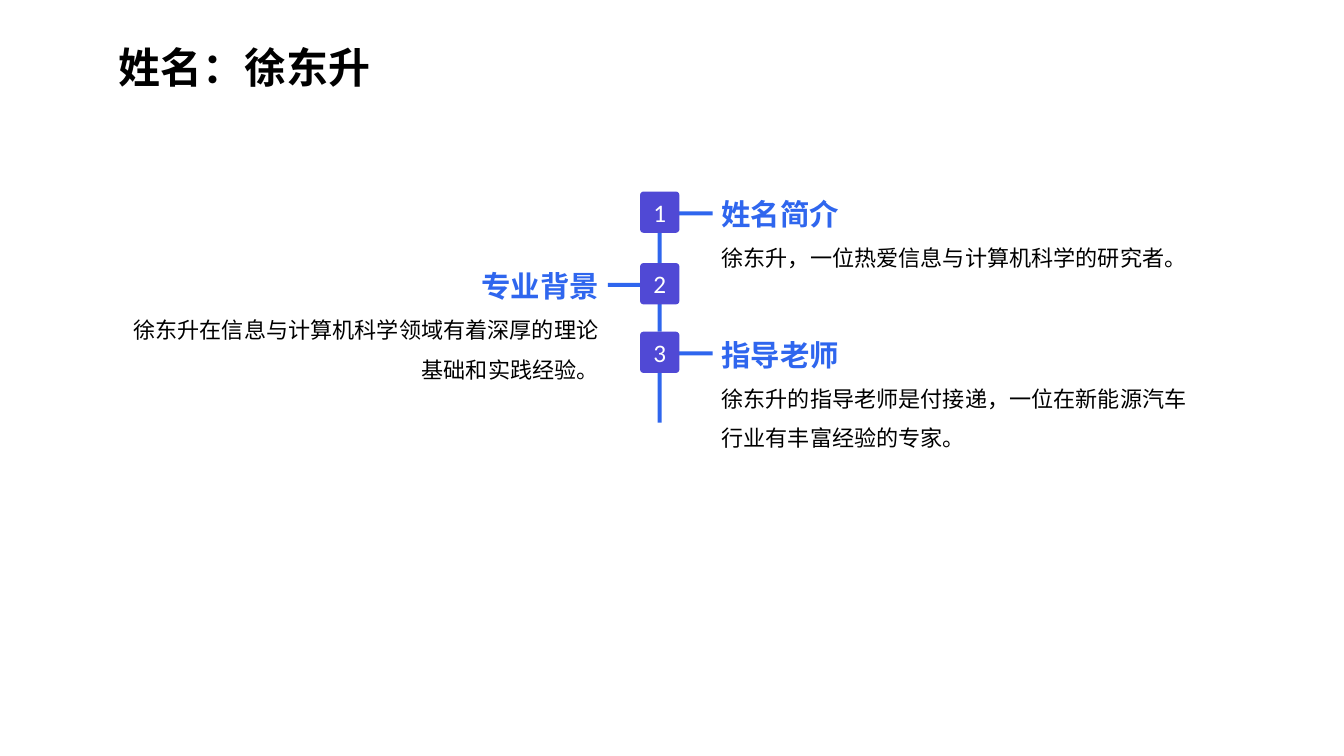
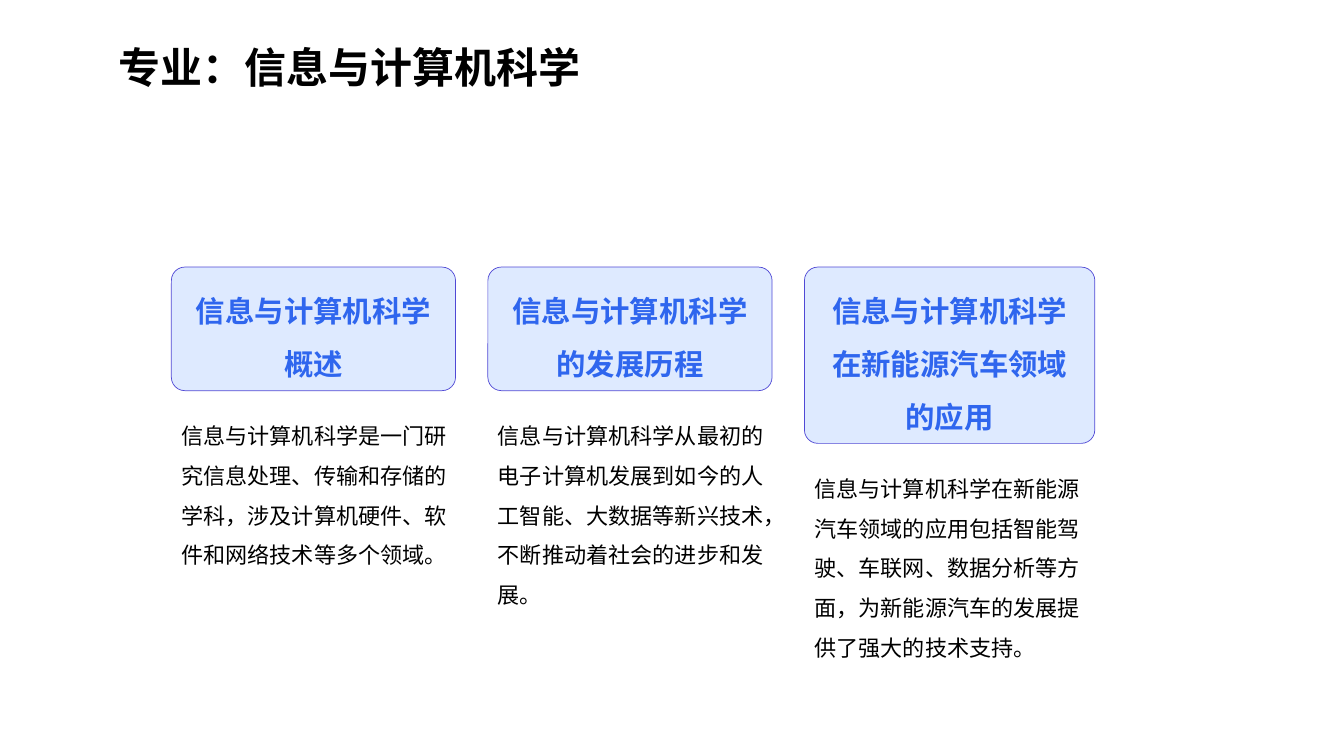
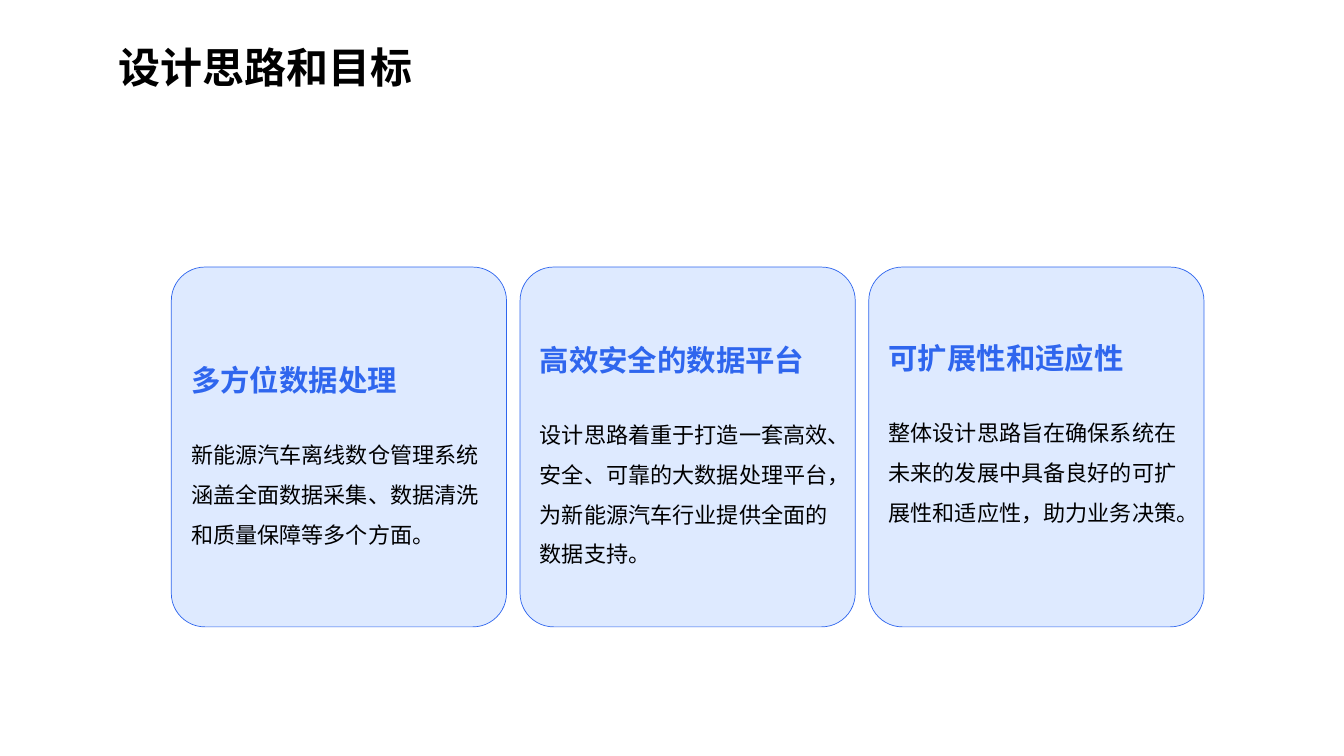
from lxml.etree import SubElement
from pptx import Presentation
from pptx.dml.color import RGBColor
from pptx.enum.shapes import MSO_SHAPE
from pptx.enum.text import MSO_ANCHOR, PP_ALIGN
from pptx.oxml.ns import qn
from pptx.util import Pt

COLORS = {"ink": "000000", "blue": "2F66EE", "violet": "5049D5",
          "pale": "DEEAFF", "white": "FFFFFF"}
CJK, LATIN = "Noto Sans CJK SC", "Calibri"
LINE = 1.195  # single line height, in ems
TITLE, HEADING, BODY, NUMBER = 30, 21, 15.8, 18

# heading, text, node top, height of the text, text side
PROFILE = [
    ("姓名简介", "徐东升，一位热爱信息与计算机科学的研究者。", 136.8, 60.5, "right"),
    ("专业背景", "徐东升在信息与计算机科学领域有着深厚的理论基础和实践经验。",
     187.9, 89.3, "left"),
    ("指导老师", "徐东升的指导老师是付接递，一位在新能源汽车行业有丰富经验的专家。",
     236.9, 89.3, "right"),
]
# heading, heading lines, box width, text, text lines
MAJOR = [
    ("信息与计算机科学概述", 2, 203,
     "信息与计算机科学是一门研究信息处理、传输和存储的学科，涉及计算机硬件、软件和网络技术等多个领域。", 4),
    ("信息与计算机科学的发展历程", 2, 203,
     "信息与计算机科学从最初的电子计算机发展到如今的人工智能、大数据等新兴技术，不断推动着社会的进步和发展。", 5),
    ("信息与计算机科学在新能源汽车领域的应用", 3, 207.4,
     "信息与计算机科学在新能源汽车领域的应用包括智能驾驶、车联网、数据分析等方面，为新能源汽车的发展提供了强大的技术支持。", 5),
]
# heading, text, inset above the heading
GOALS = [
    ("多方位数据处理",
     "新能源汽车离线数仓管理系统涵盖全面数据采集、数据清洗和质量保障等多个方面。", 61),
    ("高效安全的数据平台",
     "设计思路着重于打造一套高效、安全、可靠的大数据处理平台，为新能源汽车行业提供全面的数据支持。", 46.8),
    ("可扩展性和适应性",
     "整体设计思路旨在确保系统在未来的发展中具备良好的可扩展性和适应性，助力业务决策。", 45.4),
]


def rgb(name):
    return RGBColor.from_string(COLORS[name])


def para(text, size, color="ink", bold=False, spacing=1.0, align=PP_ALIGN.LEFT,
         font=CJK, before=0):
    return dict(text=text, size=size, color=color, bold=bold, spacing=spacing,
                align=align, font=font, before=before)


def write(shape, paras, anchor=MSO_ANCHOR.MIDDLE):
    frame = shape.text_frame
    frame.word_wrap = True
    frame.vertical_anchor = anchor
    for i, item in enumerate(paras):
        p = frame.add_paragraph() if i else frame.paragraphs[0]
        run = p.add_run()
        run.text = item["text"]
        p.alignment = item["align"]
        p.line_spacing = Pt(item["size"] * LINE * item["spacing"])
        p.space_before = Pt(item["before"])
        # paragraph defaults alone are not drawn everywhere
        for font in (p.font, run.font):
            font.size = Pt(item["size"])
            font.bold = item["bold"]
            font.color.rgb = rgb(item["color"])
            font.name = item["font"]
            SubElement(font._element, qn("a:ea")).set("typeface", CJK)


def text_box(slide, x, y, w, h, paras, anchor=MSO_ANCHOR.MIDDLE):
    write(slide.shapes.add_textbox(Pt(x), Pt(y), Pt(w), Pt(h)), paras, anchor)


def block(slide, x, y, w, h, fill, line=None, radius=0):
    kind = MSO_SHAPE.ROUNDED_RECTANGLE if radius else MSO_SHAPE.RECTANGLE
    shape = slide.shapes.add_shape(kind, Pt(x), Pt(y), Pt(w), Pt(h))
    shape.shadow.inherit = False
    shape.fill.solid()
    shape.fill.fore_color.rgb = rgb(fill)
    if line:
        shape.line.color.rgb = rgb(line)
        shape.line.width = Pt(0.5)
    else:
        shape.line.fill.background()
    if radius:
        shape.adjustments[0] = radius / min(w, h)
    return shape


def titled_slide(prs, title):
    slide = prs.slides.add_slide(prs.slide_layouts[6])
    text_box(slide, 77.4, 8, 738, 61.2, [para(title, TITLE, bold=True, spacing=1.5)])
    return slide


def profile_slide(prs):
    slide = titled_slide(prs, "姓名：徐东升")
    node_x, node_w, node_h, bar, branch = 457.2, 28.1, 29.5, 2.9, 24.5
    text_w = 358
    next_tops = [row[2] for row in PROFILE[1:]] + [302]
    for number, (row, next_top) in enumerate(zip(PROFILE, next_tops), 1):
        heading, text, top, height, side = row
        if side == "right":
            text_x, branch_x, align = 508.3, 484.6, PP_ALIGN.LEFT
        else:
            text_x, branch_x, align = 77, 434.2, PP_ALIGN.RIGHT
        text_box(slide, text_x, top, text_w, height, [
            para(heading, HEADING, "blue", True, align=align),
            para(text, BODY, spacing=1.5, align=align)])
        spine_top = top + node_h - 0.5
        block(slide, node_x + (node_w - bar) / 2, spine_top, bar,
              next_top - spine_top, "blue")
        block(slide, branch_x, top + 14.2, branch, bar, "blue")
        node = block(slide, node_x, top, node_w, node_h, "violet", radius=2.5)
        write(node, [para(str(number), NUMBER, "white",
                          align=PP_ALIGN.CENTER, font=LATIN)])


def major_slide(prs):
    slide = titled_slide(prs, "专业：信息与计算机科学")
    left, top, pitch, gap = 122.4, 190.8, 226.1, 10
    for i, (heading, heading_lines, width, text, lines) in enumerate(MAJOR):
        x = left + i * pitch
        height = heading_lines * HEADING * LINE * 1.5 + 13
        text_box(slide, x, top + height + gap, 216, lines * BODY * LINE * 1.5 + 7.2,
                 [para(text, BODY, spacing=1.5)], MSO_ANCHOR.TOP)
        box = block(slide, x, top, width, height, "pale", "violet", radius=9.6)
        write(box, [para(heading, HEADING, "blue", True, 1.5, PP_ALIGN.CENTER)])


def goals_slide(prs):
    slide = titled_slide(prs, "设计思路和目标")
    left, top, width, height, pitch = 122.4, 190.8, 239.4, 257, 249.1
    for i, (heading, text, inset) in enumerate(GOALS):
        card = block(slide, left + i * pitch, top, width, height, "pale", "blue",
                     radius=24)
        card.text_frame.margin_top = Pt(inset)
        write(card, [para(heading, HEADING, "blue", True),
                     para(text, BODY, spacing=1.5, before=22.2)], MSO_ANCHOR.TOP)


def main():
    prs = Presentation()
    prs.slide_width, prs.slide_height = Pt(960), Pt(540)
    profile_slide(prs)
    major_slide(prs)
    goals_slide(prs)
    prs.save("out.pptx")


if __name__ == "__main__":
    main()
